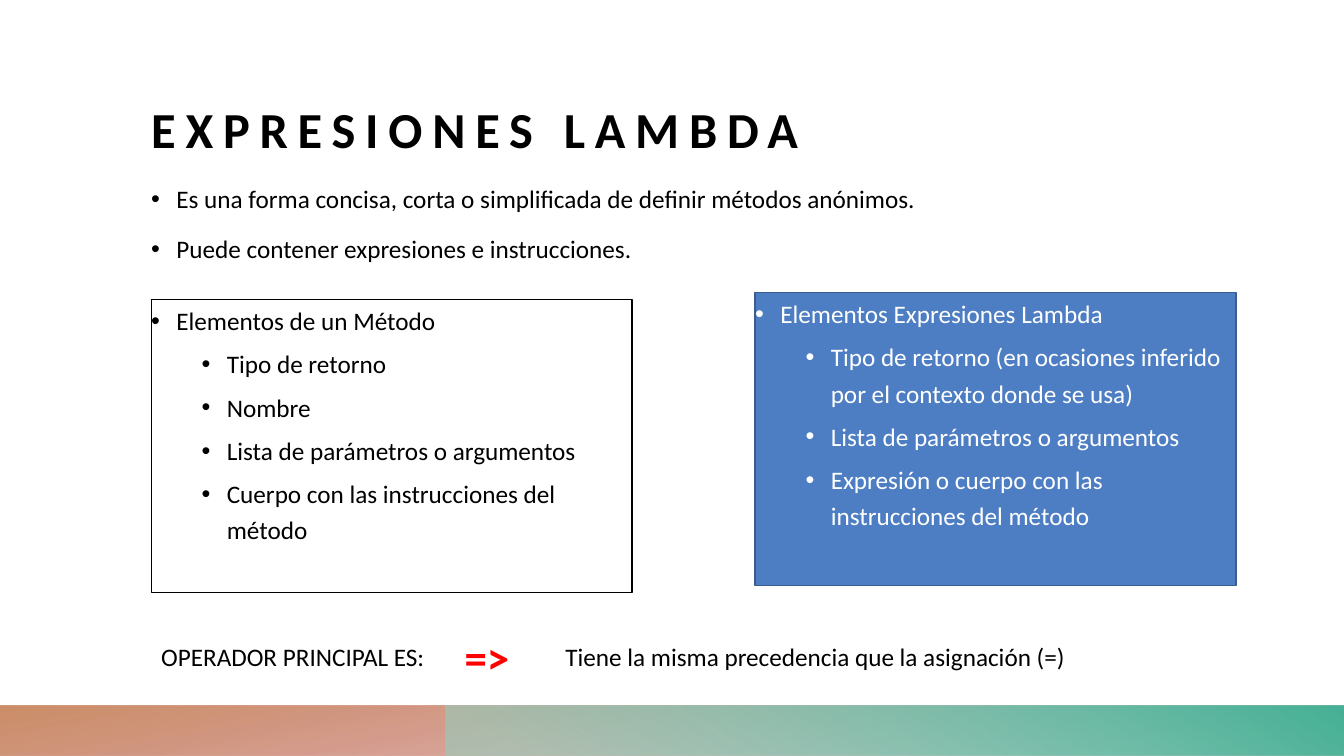
from pptx import Presentation
from pptx.dml.color import RGBColor
from pptx.enum.shapes import MSO_SHAPE
from pptx.enum.text import MSO_ANCHOR, PP_ALIGN
from pptx.oxml.ns import qn
from pptx.util import Inches, Pt
from lxml import etree

RECTANGLE = MSO_SHAPE.RECTANGLE
TOP, BOTTOM = MSO_ANCHOR.TOP, MSO_ANCHOR.BOTTOM
LEFT = PP_ALIGN.LEFT

BLACK = RGBColor(0x00, 0x00, 0x00)
WHITE = RGBColor(0xFF, 0xFF, 0xFF)
RED = RGBColor(0xFF, 0x00, 0x00)
BLUE = RGBColor(0x4D, 0x7E, 0xC3)
DARK_BLUE = RGBColor(0x39, 0x5D, 0x90)
CRIMSON = RGBColor(0xB1, 0x3B, 0x3E)
ORANGE = RGBColor(0xC3, 0x7B, 0x4D)
MINT = RGBColor(0x8E, 0xD2, 0xC1)
GREEN = RGBColor(0x46, 0xB1, 0x96)

FONT = "Calibri"
MARGIN = 1.5

FEATURES = [
    (0, "Es una forma concisa, corta o simplificada de definir métodos anónimos."),
    (0, "Puede contener expresiones e instrucciones."),
]
METHOD_PARTS = [
    (0, "Elementos de un Método"),
    (1, "Tipo de retorno"),
    (1, "Nombre"),
    (1, "Lista de parámetros o argumentos"),
    (1, "Cuerpo con las instrucciones del método"),
]
LAMBDA_PARTS = [
    (0, "Elementos Expresiones Lambda"),
    (1, "Tipo de retorno (en ocasiones inferido por el contexto donde se usa)"),
    (1, "Lista de parámetros o argumentos"),
    (1, "Expresión o cuerpo con las instrucciones del método"),
]


def style_span(span, size, color, bold=False):
    span.font.name = FONT
    span.font.size = Pt(size)
    span.font.color.rgb = color
    span.font.bold = bold


def clear_insets(frame):
    frame.margin_left = frame.margin_top = Inches(0)
    frame.margin_right = frame.margin_bottom = Inches(0)


def add_band(page, left, width, stops, angle, rotation=0):
    band = page.shapes.add_shape(
        RECTANGLE, Inches(left), Inches(7), Inches(width), Inches(0.5))
    band.shadow.inherit = False
    band.line.fill.background()
    band.rotation = rotation
    properties = band._element.spPr
    properties.find(qn("a:xfrm")).set("flipH", "1")
    band.fill.gradient()
    band.fill.gradient_angle = 360 - angle
    for stop, (position, color, _) in zip(band.fill.gradient_stops, stops):
        stop.position = position
        stop.color.rgb = color
    for color_node, (_, _, opacity) in zip(properties.iter(qn("a:srgbClr")), stops):
        etree.SubElement(color_node, qn("a:alpha")).set("val", str(opacity * 1000))


def add_text(page, text, left, top, width, height, size=18, color=BLACK,
             bold=False, wrap=True):
    box = page.shapes.add_textbox(
        Inches(left), Inches(top), Inches(width), Inches(height))
    frame = box.text_frame
    frame.word_wrap = wrap
    frame.text = text
    style_span(frame.paragraphs[0].runs[0], size, color, bold)
    return box


def add_title(page, text):
    frame = add_text(page, text, MARGIN, 0.87, 11.2, 0.7, 36, bold=True).text_frame
    clear_insets(frame)
    frame.vertical_anchor = BOTTOM
    frame.paragraphs[0].runs[0]._r.get_or_add_rPr().set("spc", "700")


def fill_bullets(frame, items, color):
    frame.word_wrap = True
    frame.vertical_anchor = TOP
    clear_insets(frame)
    frame.text = "\n".join(text for _, text in items)
    for para, (level, _) in zip(frame.paragraphs, items):
        para.level = level
        para.alignment = LEFT
        para.line_spacing = 1.2
        para.space_before = Pt(5 if level else 10)
        properties = para._p.get_or_add_pPr()
        properties.set("marL", str(Inches(0.25 + 0.5 * level)))
        properties.set("indent", str(Inches(-0.25)))
        etree.SubElement(properties, qn("a:buFont")).set("typeface", "Arial")
        etree.SubElement(properties, qn("a:buChar")).set("char", "•")
        style_span(para.runs[0], 18, color)


def add_bullet_list(page, items, left, top, width, height):
    box = page.shapes.add_textbox(
        Inches(left), Inches(top), Inches(width), Inches(height))
    fill_bullets(box.text_frame, items, BLACK)


def add_panel(page, items, left, top, fill, line, color):
    panel = page.shapes.add_shape(
        RECTANGLE, Inches(left), Inches(top), Inches(4.77), Inches(2.91))
    panel.shadow.inherit = False
    panel.fill.solid()
    panel.fill.fore_color.rgb = fill
    panel.line.color.rgb = line
    panel.line.width = Pt(1)
    fill_bullets(panel.text_frame, items, color)


def main():
    deck = Presentation()
    deck.slide_width = Inches(13.33)
    deck.slide_height = Inches(7.5)
    page = deck.slides.add_slide(deck.slide_layouts[6])

    add_band(page, 0, 13.33, [(0.14, CRIMSON, 28), (1, ORANGE, 85)], 100, 180)
    add_band(page, 4.42, 8.92, [(0.09, MINT, 55), (0.99, GREEN, 100)], 240)

    add_title(page, "EXPRESIONES LAMBDA")
    add_bullet_list(page, FEATURES, MARGIN, 1.76, 11.2, 1.05)
    add_panel(page, METHOD_PARTS, MARGIN, 2.97, WHITE, BLACK, BLACK)
    add_panel(page, LAMBDA_PARTS, 7.49, 2.9, BLUE, DARK_BLUE, WHITE)

    add_text(page, "OPERADOR PRINCIPAL ES:", MARGIN, 6.31, 2.93, 0.4, wrap=False)
    add_text(page, "=>", 4.51, 6.2, 1, 0.64, 32, RED, bold=True)
    add_text(page, "Tiene la misma precedencia que la asignación (=)",
             5.51, 6.31, 5.2, 0.4, wrap=False)

    deck.save("out.pptx")


if __name__ == "__main__":
    main()
